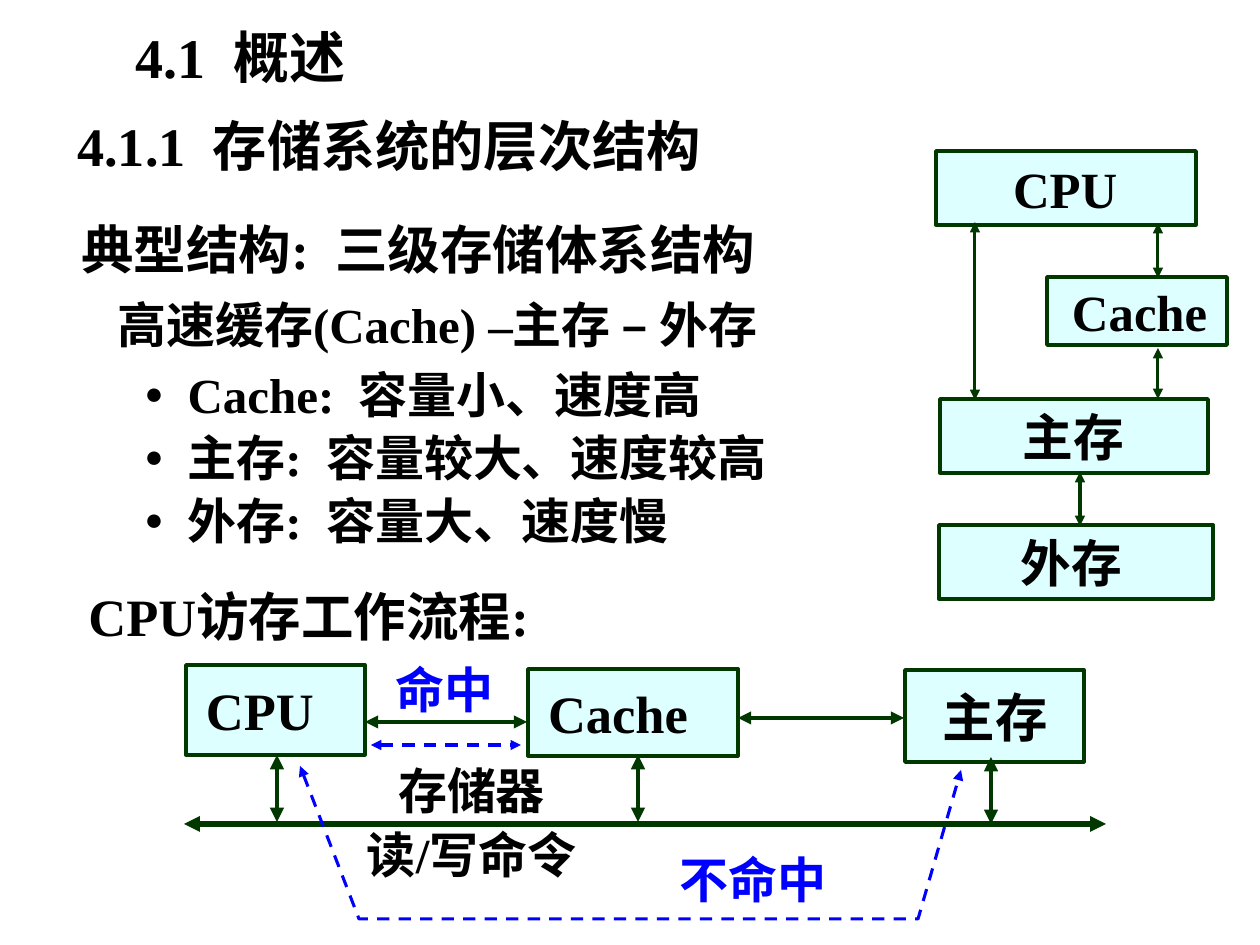
from lxml.etree import SubElement
from pptx import Presentation
from pptx.dml.color import RGBColor
from pptx.enum.dml import MSO_LINE
from pptx.enum.shapes import MSO_CONNECTOR, MSO_SHAPE
from pptx.enum.text import MSO_ANCHOR, MSO_AUTO_SIZE, PP_ALIGN
from pptx.oxml.ns import qn
from pptx.util import Emu, Pt

PX = 914400 / 126
FONT = "Times New Roman"
COLORS = {"text": "000000", "hit": "0000FF", "line": "003800", "box": "DDFFFF"}


def px(n):
    return Emu(round(n * PX))


def rgb(name):
    return RGBColor.from_string(COLORS[name])


def apply(obj, values):
    for name, value in values.items():
        setattr(obj, name, value)


def place(s, box):
    apply(s, dict(zip(("left", "top", "width", "height"), map(px, box))))


def write(s, lines, size, color="text", frame={}, para={}):
    tf = s.text_frame
    apply(tf, {"word_wrap": True, "auto_size": MSO_AUTO_SIZE.NONE,
               "vertical_anchor": MSO_ANCHOR.TOP, **frame})
    for i, line in enumerate(lines):
        p = tf.paragraphs[0] if i == 0 else tf.add_paragraph()
        apply(p, {"alignment": PP_ALIGN.LEFT, "space_before": Pt(0), **para})
        r = p.add_run()
        r.text = line
        apply(r.font, {"name": FONT, "size": Pt(size), "bold": True})
        r.font.color.rgb = rgb(color)
    return tf.paragraphs


def add_text(slide, box, lines, size, color="text", para={}):
    s = slide.shapes.add_textbox(*map(px, box))
    return write(s, lines, size, color, para=para)


def indent(p, left, hanging=0):
    pPr = p._p.get_or_add_pPr()
    pPr.set("marL", str(px(left)))
    pPr.set("indent", str(px(-hanging)))
    return pPr


def add_bullet(p, hanging):
    pPr = indent(p, hanging, hanging)
    for tag, key, value in (("a:buSzPct", "val", "64000"),
                            ("a:buFont", "typeface", FONT),
                            ("a:buChar", "char", "●")):
        SubElement(pPr, qn(tag)).set(key, value)


def add_box(slide, box, label, size, inset):
    s = slide.shapes.add_shape(MSO_SHAPE.RECTANGLE, *map(px, box))
    s.shadow.inherit = False
    s.fill.solid()
    s.fill.fore_color.rgb = rgb("box")
    s.line.color.rgb = rgb("line")
    s.line.width = Pt(2)
    frame = {"vertical_anchor": MSO_ANCHOR.MIDDLE, "margin_left": px(inset),
             "margin_right": 0, "margin_top": 0, "margin_bottom": 0}
    write(s, [label], size, frame=frame)


def style_line(s, color, width, dashed):
    s.line.color.rgb = rgb(color)
    s.line.width = Pt(width)
    if dashed:
        s.line.dash_style = MSO_LINE.DASH
    ln = s.line._get_or_add_ln()
    for tag in ("a:headEnd", "a:tailEnd"):
        SubElement(ln, qn(tag)).set("type", "triangle")


def add_arrow(slide, ends, width, color="line", dashed=False):
    s = slide.shapes.add_connector(MSO_CONNECTOR.STRAIGHT, *map(px, ends))
    style_line(s, color, width, dashed)
    SubElement(s._element.spPr, qn("a:effectLst"))


def add_path(slide, points, width, color):
    builder = slide.shapes.build_freeform(*points[0], scale=PX)
    builder.add_line_segments(points[1:], close=False)
    s = builder.convert_to_shape()
    s.fill.background()
    style_line(s, color, width, True)
    s.shadow.inherit = False


def add_headings(slide):
    title, body = slide.shapes.title, slide.placeholders[1]
    place(title, (123, 16, 321, 81))
    write(title, ["4.1  概述"], 32)

    add_text(slide, (65, 106, 766, 78), ["4.1.1  存储系统的层次结构"], 31)
    structure = add_text(slide, (69, 204, 929, 158),
                         ["典型结构:  三级存储体系结构", "高速缓存(Cache) –主存 – 外存"],
                         30, para={"line_spacing": Pt(40)})
    structure[1].space_before = Pt(2)
    structure[1].runs[0].font.size = Pt(28)
    indent(structure[1], 36)

    place(body, (132, 354, 709, 202))
    levels = write(body, ["Cache:  容量小、速度高", "主存:  容量较大、速度较高",
                          "外存:  容量大、速度慢"], 28,
                   para={"line_spacing": Pt(36)})
    for p in levels:
        add_bullet(p, 43)


def add_hierarchy(slide):
    for box, label, inset in (((936, 151, 260, 74), "CPU", 77),
                              ((1047, 277, 180, 68), "Cache", 25),
                              ((940, 399, 268, 74), "主存", 83),
                              ((939, 525, 274, 74), "外存", 82)):
        add_box(slide, box, label, 29, inset)
    for x, top, bottom in ((975, 222, 400), (1158, 223, 278),
                           (1158, 348, 399), (1080, 472, 526)):
        add_arrow(slide, (x, top, x, bottom), 1.75)


def add_flow(slide):
    add_text(slide, (76, 578, 509, 76), ["CPU访存工作流程:"], 30)
    add_text(slide, (341, 748, 261, 142), ["存储器", "读/写命令"], 28,
             para={"alignment": PP_ALIGN.CENTER, "line_spacing": 1.1})
    add_text(slide, (383, 653, 155, 72), ["命中"], 28, "hit")
    add_text(slide, (667, 843, 231, 72), ["不命中"], 28, "hit")

    for box, label, inset in (((186, 665, 179, 90), "CPU", 20),
                              ((528, 669, 210, 87), "Cache", 20),
                              ((905, 670, 179, 92), "主存", 38)):
        add_box(slide, box, label, 30, inset)
    for x1, x2, y, width in ((365, 527, 722, 2.5), (738, 904, 718, 2.5),
                             (184, 1106, 824, 3)):
        add_arrow(slide, (x1, y, x2, y), width)
    for x, top, bottom in ((277, 755, 822), (638, 755, 822), (991, 757, 824)):
        add_arrow(slide, (x, top, x, bottom), 2.75)
    add_arrow(slide, (371, 745, 521, 745), 1.75, "hit", True)
    add_path(slide, [(300, 766), (359, 919), (918, 919), (961, 770)], 1.75, "hit")


def main():
    prs = Presentation()
    apply(prs, {"slide_width": px(1260), "slide_height": px(945)})
    slide = prs.slides.add_slide(prs.slide_layouts[1])
    add_headings(slide)
    add_hierarchy(slide)
    add_flow(slide)
    prs.save("out.pptx")


main()
